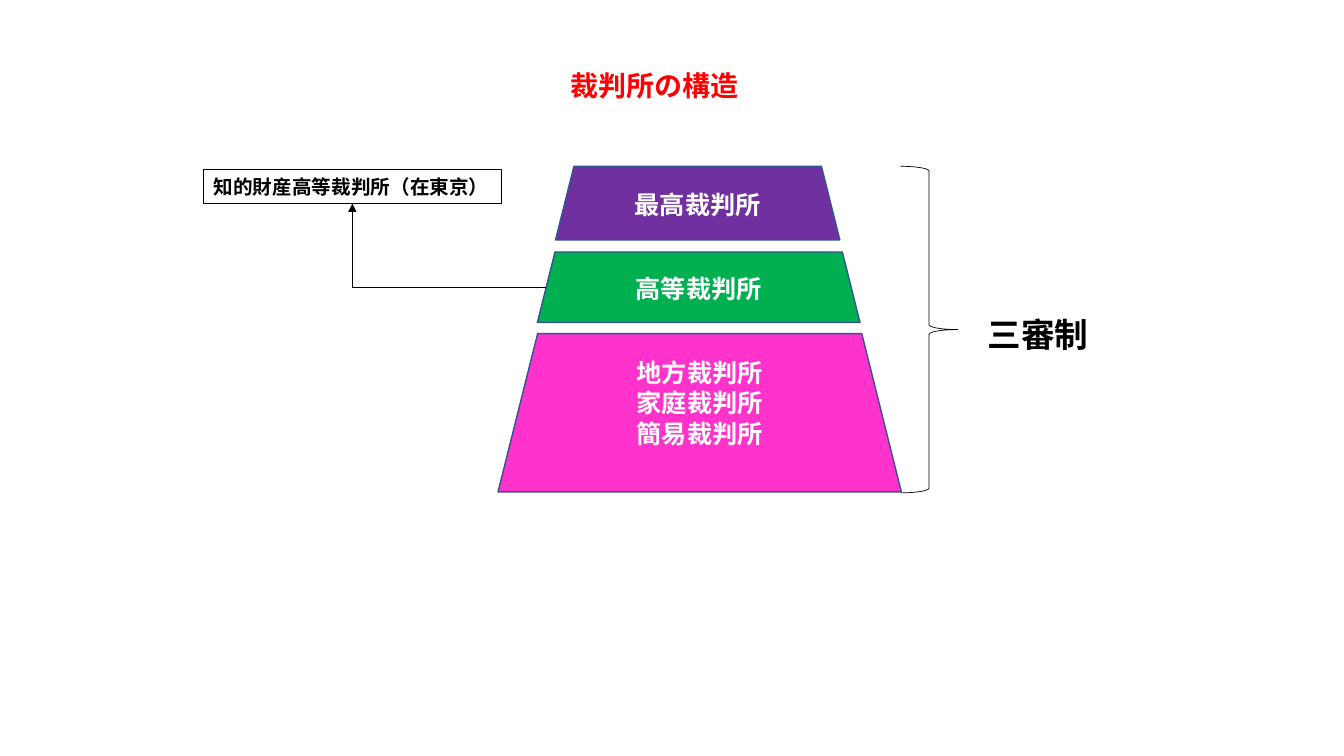
from dataclasses import dataclass

from lxml import etree
from pptx import Presentation
from pptx import util as u
from pptx.dml.color import RGBColor
from pptx.enum import shapes, text
from pptx.oxml import ns


@dataclass(frozen=True)
class Theme:
    font: str = "Noto Sans CJK JP"
    ink: str = "000000"
    white: str = "FFFFFF"
    heading: str = "FF0000"
    tier_edge: str = "325491"
    supreme: str = "7030A0"
    high: str = "00B050"
    lower: str = "FF33CC"
    heading_size: int = 20
    tier_size: int = 18
    system_size: int = 24
    branch_size: int = 14


THEME = Theme()
CENTER = text.PP_ALIGN.CENTER


def inches(*lengths):
    return [u.Inches(length) for length in lengths]


def write(frame, lines, size, color, align=CENTER, wrap=True):
    frame.word_wrap = wrap
    frame.auto_size = text.MSO_AUTO_SIZE.NONE
    frame.vertical_anchor = text.MSO_ANCHOR.MIDDLE
    frame.margin_left = frame.margin_right = u.Inches(0.1)
    frame.margin_top = frame.margin_bottom = u.Inches(0.05)
    frame.text = "\n".join(lines)
    for paragraph in frame.paragraphs:
        paragraph.alignment = align
        font = paragraph.font
        font.name, font.size, font.bold = THEME.font, u.Pt(size), True
        font.color.rgb = RGBColor.from_string(color)
        defaults = paragraph._p.get_or_add_pPr().get_or_add_defRPr()
        etree.SubElement(defaults, ns.qn("a:ea")).set("typeface", THEME.font)


def outline(line, color, width):
    line.color.rgb = RGBColor.from_string(color)
    line.width = u.Pt(width)


def add_outlined(slide, kind, box, edge, width, fill=None):
    shape = slide.shapes.add_shape(kind, *inches(*box))
    shape.shadow.inherit = False
    if fill:
        shape.fill.solid()
        shape.fill.fore_color.rgb = RGBColor.from_string(fill)
    else:
        shape.fill.background()
    outline(shape.line, edge, width)
    return shape


def add_heading(slide, box):
    heading = slide.shapes.title
    heading.left, heading.top, heading.width, heading.height = inches(*box)
    write(heading.text_frame, ["裁判所の構造"], THEME.heading_size, THEME.heading)


def add_court_pyramid(slide, box):
    left, top, width, _ = box
    middle = left + width / 2
    tiers = [
        (0, 0.73, 2.82, -0.02, THEME.supreme, ["最高裁判所"], 0.05),
        (0.85, 0.7, 3.2, -0.01, THEME.high, ["高等裁判所"], 0.05),
        (1.66, 1.57, 4, 0, THEME.lower,
         ["地方裁判所", "家庭裁判所", "簡易裁判所"], 0.35),
    ]
    for drop, height, base, shift, fill, courts, bottom_inset in tiers:
        tier_box = (middle - base / 2 + shift, top + drop, base, height)
        tier = add_outlined(slide, shapes.MSO_SHAPE.TRAPEZOID, tier_box,
                            THEME.tier_edge, 1, fill)
        write(tier.text_frame, courts, THEME.tier_size, THEME.white)
        tier.text_frame.margin_bottom = u.Inches(bottom_inset)


def add_three_tier_system(slide, box):
    left, top, width, height = box
    brace_width, label_width, label_height = 0.57, 1.51, 0.5
    add_outlined(slide, shapes.MSO_SHAPE.RIGHT_BRACE,
                 (left, top, brace_width, height), THEME.ink, 0.5)
    label = slide.shapes.add_textbox(*inches(
        left + width - label_width, top + (height - label_height) / 2 + 0.04,
        label_width, label_height))
    write(label.text_frame, ["三審制"], THEME.system_size, THEME.ink)


def add_branch_court(slide, box, origin):
    left, top, width, height = box
    branch = add_outlined(slide, shapes.MSO_SHAPE.RECTANGLE, box, THEME.ink, 0.75)
    write(branch.text_frame, ["知的財産高等裁判所（在東京）"], THEME.branch_size,
          THEME.ink, text.PP_ALIGN.LEFT, wrap=False)
    arrow = slide.shapes.add_connector(
        shapes.MSO_CONNECTOR.ELBOW,
        *inches(left + width / 2, top + height, *origin))
    outline(arrow.line, THEME.ink, 0.75)
    properties = arrow._element.spPr
    properties.find(ns.qn("a:xfrm")).set("rot", "10800000")
    properties.find(ns.qn("a:prstGeom")).set("prst", "bentConnector2")
    tail = etree.SubElement(properties.find(ns.qn("a:ln")), ns.qn("a:tailEnd"))
    tail.set("type", "triangle")
    etree.SubElement(properties, ns.qn("a:effectLst"))


def main():
    deck = Presentation()
    deck.slide_width, deck.slide_height = inches(13.33, 7.5)
    slide = deck.slides.add_slide(deck.slide_layouts.get_by_name("Title Only"))
    add_heading(slide, (3.16, 0.63, 6.66, 0.44))
    add_court_pyramid(slide, (4.94, 1.65, 4, 3.23))
    add_three_tier_system(slide, (8.93, 1.65, 2.12, 3.24))
    add_branch_court(slide, (2.02, 1.68, 2.95, 0.34), (5.42, 2.85))
    deck.save("out.pptx")


if __name__ == "__main__":
    main()
